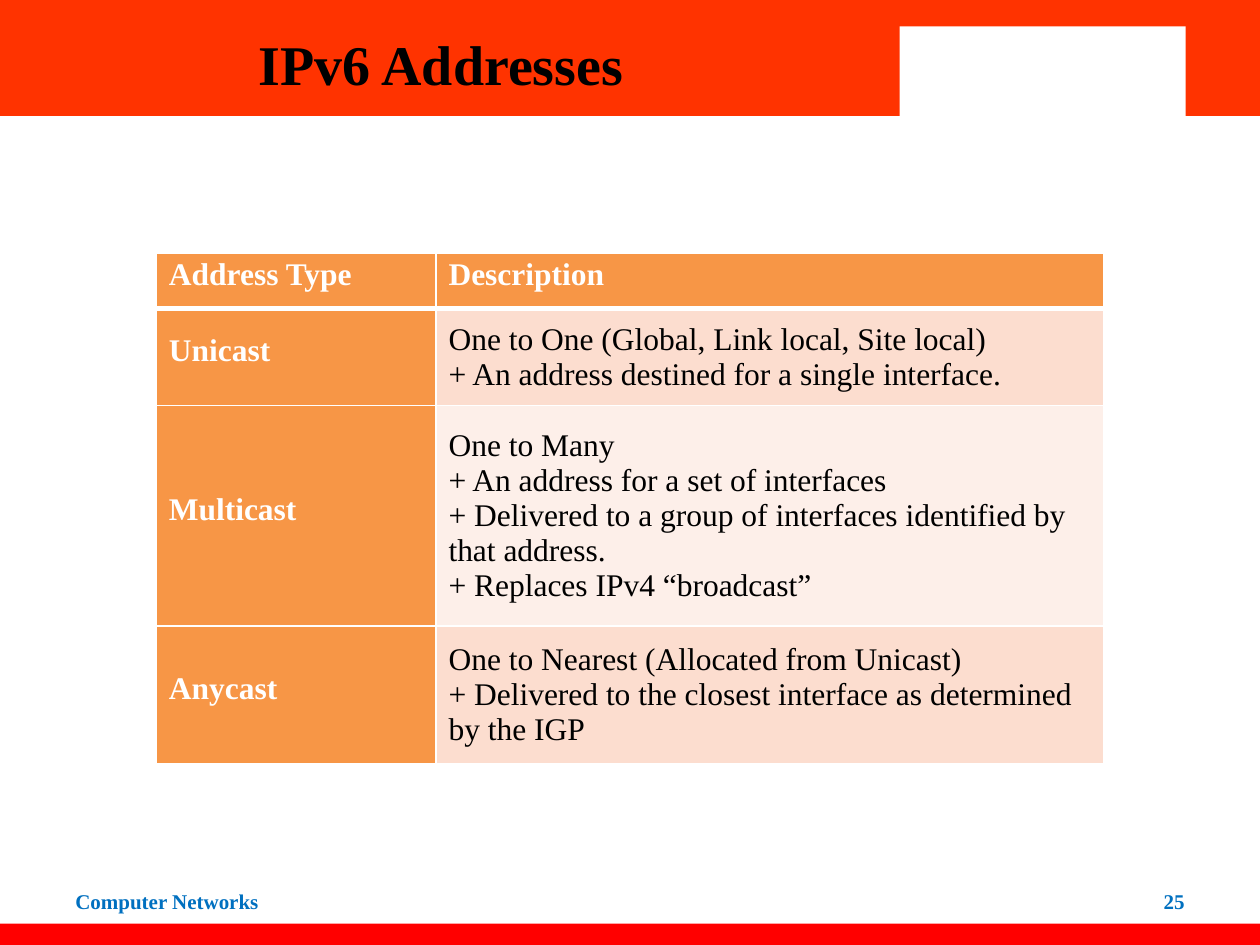
from lxml.etree import SubElement
from pptx import Presentation
from pptx.dml.color import RGBColor
from pptx.enum.shapes import MSO_SHAPE as Shape
from pptx.enum.text import MSO_ANCHOR as Anchor, PP_ALIGN as Align
from pptx.oxml.ns import qn
from pptx.util import Inches, Pt

BLACK = RGBColor(0x00, 0x00, 0x00)
WHITE = RGBColor(0xFF, 0xFF, 0xFF)
BANNER = RGBColor(0xFF, 0x33, 0x00)
RED = RGBColor(0xFF, 0x00, 0x00)
BLUE = RGBColor(0x00, 0x70, 0xC0)
ORANGE = RGBColor(0xF7, 0x96, 0x46)
BANDS = [RGBColor(0xFC, 0xDD, 0xCF), RGBColor(0xFD, 0xEF, 0xE9)]
FONT = "Times New Roman"

COLUMN_WIDTHS = [2.22, 5.3]
ROW_HEIGHTS = [0.44, 0.77, 1.75, 1.09]
ADDRESS_ROWS = [
    ("Address Type", "Description"),
    ("Unicast",
     "One to One (Global, Link local, Site local)\n"
     "+ An address destined for a single interface."),
    ("Multicast",
     "One to Many\n"
     "+ An address for a set of interfaces\n"
     "+ Delivered to a group of interfaces identified by that address.\n"
     "+ Replaces IPv4 “broadcast”"),
    ("Anycast",
     "One to Nearest (Allocated from Unicast)\n"
     "+ Delivered to the closest interface as determined by the IGP"),
]


def style_font(paragraph, size, color, bold=True):
    font = paragraph.font
    font.name = FONT
    font.size = Pt(size)
    font.bold = bold
    font.color.rgb = color


def add_bar(slide, left, top, width, height, color):
    bar = slide.shapes.add_shape(
        Shape.RECTANGLE, Inches(left), Inches(top), Inches(width), Inches(height))
    bar.shadow.inherit = False
    bar.fill.solid()
    bar.fill.fore_color.rgb = color
    bar.line.fill.background()


def add_label(slide, text, left, top, width, height, size, color, align):
    box = slide.shapes.add_textbox(
        Inches(left), Inches(top), Inches(width), Inches(height))
    frame = box.text_frame
    frame.word_wrap = True
    frame.vertical_anchor = Anchor.MIDDLE
    paragraph = frame.paragraphs[0]
    paragraph.text = text
    paragraph.alignment = align
    style_font(paragraph, size, color)


def set_borders(cell, top, bottom):
    properties = cell._tc.get_or_add_tcPr()
    widths = {"a:lnL": 1, "a:lnR": 1, "a:lnT": top, "a:lnB": bottom}
    for index, (tag, width) in enumerate(widths.items()):
        line = SubElement(properties, qn(tag), w=str(Pt(width)))
        fill = SubElement(line, qn("a:solidFill"))
        SubElement(fill, qn("a:srgbClr"), val=str(WHITE))
        properties.insert(index, line)


def fill_cell(cell, text, row, is_heading):
    cell.fill.solid()
    cell.fill.fore_color.rgb = ORANGE if is_heading else BANDS[(row - 1) % 2]
    cell.vertical_anchor = Anchor.MIDDLE
    cell.margin_left = cell.margin_right = Inches(0.1)
    cell.margin_top = cell.margin_bottom = Inches(0.03)
    paragraph = cell.text_frame.paragraphs[0]
    paragraph.text = text
    paragraph.space_before = Pt(3.8)
    paragraph.space_after = Pt(7.5)
    if is_heading:
        paragraph.line_spacing = Pt(12.8)
    style_font(paragraph, 18, WHITE if is_heading else BLACK, is_heading)
    set_borders(cell, top=3 if row == 1 else 1, bottom=3 if row == 0 else 1)


def add_address_table(slide):
    table = slide.shapes.add_table(
        len(ADDRESS_ROWS), len(COLUMN_WIDTHS), Inches(1.24), Inches(2.01),
        Inches(sum(COLUMN_WIDTHS)), Inches(sum(ROW_HEIGHTS))).table
    for column, width in zip(table.columns, COLUMN_WIDTHS):
        column.width = Inches(width)
    for row, height in zip(table.rows, ROW_HEIGHTS):
        row.height = Inches(height)
    for row, texts in enumerate(ADDRESS_ROWS):
        for column, text in enumerate(texts):
            fill_cell(table.cell(row, column), text, row, row == 0 or column == 0)


def main():
    presentation = Presentation()
    presentation.slide_width = Inches(10)
    presentation.slide_height = Inches(7.5)
    slide = presentation.slides.add_slide(presentation.slide_layouts[6])
    add_bar(slide, 0, 0, 10, 0.92, BANNER)
    add_bar(slide, 0, 7.33, 10, 0.22, RED)
    add_bar(slide, 6.72, 0, 3.28, 0.92, BANNER)
    add_bar(slide, 7.14, 0.21, 2.27, 0.75, WHITE)
    add_label(slide, "IPv6 Addresses", 0.5, 0, 6, 1, 32, BLACK, Align.CENTER)
    add_label(slide, "Computer Networks", 0.5, 6.95, 2.33, 0.4, 12, BLUE, Align.LEFT)
    add_label(slide, "25", 7.17, 6.95, 2.33, 0.4, 12, BLUE, Align.RIGHT)
    add_address_table(slide)
    presentation.save("out.pptx")


if __name__ == "__main__":
    main()
